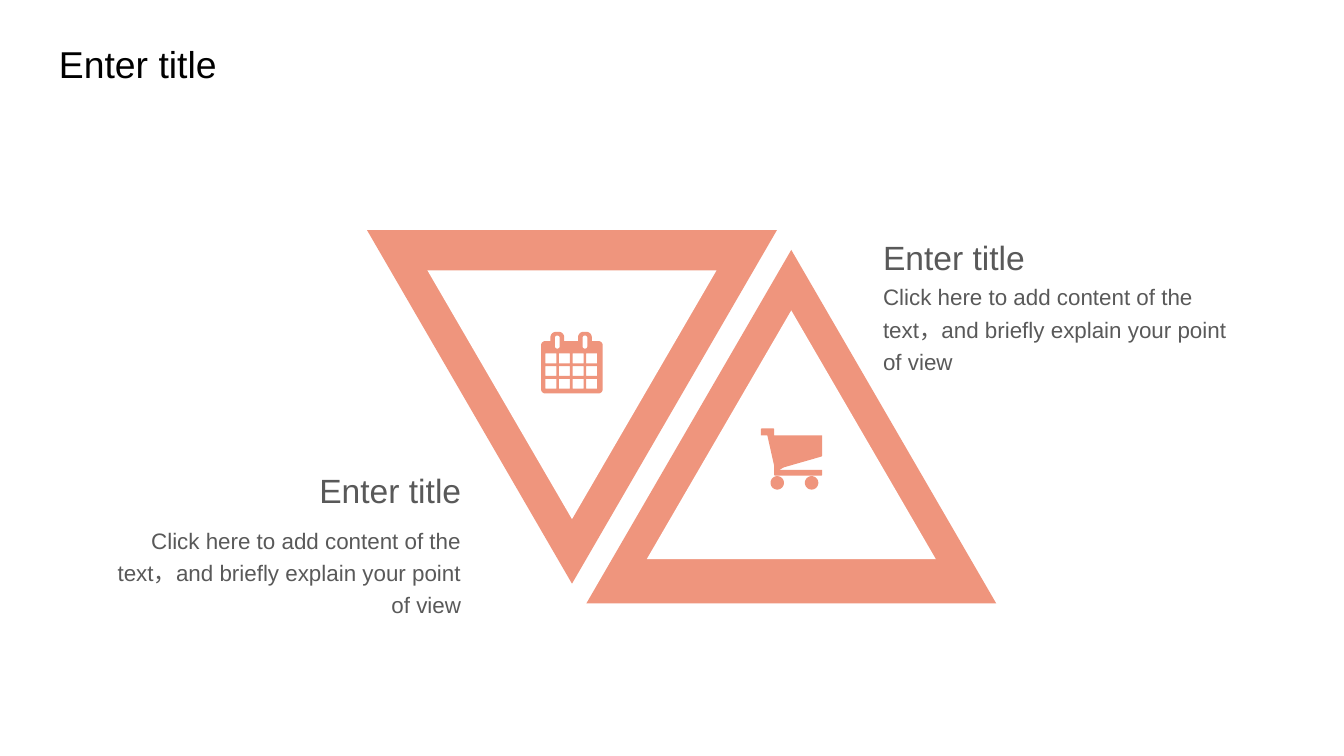
from dataclasses import dataclass
from math import cos, pi, sin, hypot

from pptx import Presentation
from pptx.dml.color import RGBColor
from pptx.enum.shapes import MSO_SHAPE
from pptx.enum.text import MSO_ANCHOR, PP_ALIGN
from pptx.shapes.autoshape import Shape
from pptx.slide import Slide
from pptx.util import Pt

Point = tuple[float, float]
Corner = tuple[float, float, float]


@dataclass(frozen=True)
class Theme:
    font: str = "Arial"
    coral: str = "EF957D"
    white: str = "FFFFFF"
    black: str = "000000"
    grey: str = "595959"
    title: float = 20
    head: float = 18
    body: float = 12


@dataclass(frozen=True)
class Frame:
    left: float
    top: float
    inset: float
    turn: float


@dataclass(frozen=True)
class Label:
    text: str
    box: tuple[float, float, float, float]
    size: float
    color: str
    align: PP_ALIGN = PP_ALIGN.LEFT
    anchor: MSO_ANCHOR = MSO_ANCHOR.TOP
    pads: tuple[float, float, float, float] = (5.76, 5.76, 5.76, 0)
    lines: float = 1.0


THEME = Theme()
HEAD = "Enter title"
BODY = "Click here to add content of the text，and briefly explain your point of view"


def paint(shape: Shape, color: str) -> None:
    shape.shadow.inherit = False
    shape.fill.solid()
    shape.fill.fore_color.rgb = RGBColor.from_string(color)
    shape.line.fill.background()


def draw_frame(slide: Slide, frame: Frame) -> None:
    parts = ((0, 0, 219.6, 189.4, THEME.coral),
             (32.4, frame.inset, 154.8, 133.2, THEME.white))
    for dx, dy, width, height, color in parts:
        shape = slide.shapes.add_shape(
            MSO_SHAPE.ISOSCELES_TRIANGLE, Pt(frame.left + dx),
            Pt(frame.top + dy), Pt(width), Pt(height))
        shape.rotation = frame.turn
        paint(shape, color)


def toward(start: Point, end: Point, length: float) -> Point:
    ratio = length / hypot(end[0] - start[0], end[1] - start[1])
    return (start[0] + (end[0] - start[0]) * ratio,
            start[1] + (end[1] - start[1]) * ratio)


def smooth(ring: list[Corner], steps: int = 8) -> list[Point]:
    points = []
    for i, (x, y, radius) in enumerate(ring):
        if not radius:
            points.append((x, y))
            continue
        ax, ay = toward((x, y), ring[i - 1][:2], radius)
        bx, by = toward((x, y), ring[(i + 1) % len(ring)][:2], radius)
        for step in range(steps + 1):
            angle = pi / 2 * step / steps
            c, s = 1 - sin(angle), 1 - cos(angle)
            points.append((x + (ax - x) * c + (bx - x) * s,
                           y + (ay - y) * c + (by - y) * s))
    return points


def block(x: float, y: float, width: float, height: float,
          radius: float = 0) -> list[Corner]:
    return [(x, y, radius), (x + width, y, radius),
            (x + width, y + height, radius), (x, y + height, radius)]


def draw_icon(slide: Slide, left: float, top: float,
              rings: list[list[Corner]]) -> None:
    paths = [[(Pt(left + x), Pt(top + y)) for x, y in smooth(ring)]
             for ring in rings]
    pen = slide.shapes.build_freeform(*paths[0][0])
    for i, path in enumerate(paths):
        if i:
            pen.move_to(*path[0])
        pen.add_line_segments(path[1:], close=True)
    paint(pen.convert_to_shape(), THEME.coral)


def diary() -> list[list[Corner]]:
    tabs = (5, 19.8)
    edge = [(0, 5, 2.2)]
    for x in tabs:
        edge += [(x, 5, 0), (x, 0, 3), (x + 7.4, 0, 3), (x + 7.4, 5, 0)]
    edge += [(33, 5, 2.2), (33, 33, 2.2), (0, 33, 2.2)]
    slots = [block(x + 2.4, 2, 2.6, 7, 1.2) for x in tabs]
    cells = [block(2.3 + 7.3 * col, 11.6 + 6.8 * row, 5.9, 5.3)
             for row in range(3) for col in range(4)]
    return [edge, *slots, *cells]


def cart() -> list[list[Corner]]:
    frame = [(0, 0, 0.7), (7.2, 0, 0.7), (7.2, 3.8, 0), (32.8, 3.8, 0),
             (32.8, 15, 0.4), (12.3, 20.9, 0), (10, 22.2, 0),
             (32.8, 22.2, 0), (32.8, 25.4, 0.5), (7.2, 25.4, 0.5),
             (7.2, 20.2, 0), (3.5, 3.8, 0), (0, 3.8, 0)]
    wheels = [block(x, 25.6, 7.2, 7.2, 3.6) for x in (5.2, 23.6)]
    return [frame, *wheels]


def write(slide: Slide, label: Label) -> None:
    frame = slide.shapes.add_textbox(*map(Pt, label.box)).text_frame
    frame.word_wrap = True
    frame.vertical_anchor = label.anchor
    (frame.margin_left, frame.margin_top,
     frame.margin_right, frame.margin_bottom) = map(Pt, label.pads)
    frame.text = label.text
    line = frame.paragraphs[0]
    line.alignment = label.align
    line.line_spacing = label.lines
    font = line.runs[0].font
    font.name = THEME.font
    font.size = Pt(label.size)
    font.color.rgb = RGBColor.from_string(label.color)


def write_pair(slide: Slide, head: Point, body: Point, align: PP_ALIGN) -> None:
    write(slide, Label(BODY, (*body, 204.8, 64.1), THEME.body, THEME.grey,
                       align, lines=1.2))
    write(slide, Label(HEAD, (*head, 178.6, 25.2), THEME.head, THEME.grey,
                       align, MSO_ANCHOR.BOTTOM, (5.76, 0, 5.76, 0)))


def main() -> None:
    deck = Presentation()
    deck.slide_width, deck.slide_height = Pt(720), Pt(405)
    slide = deck.slides.add_slide(deck.slide_layouts[6])
    write(slide, Label(HEAD, (24.5, 18.7, 125.3, 31.7), THEME.title,
                       THEME.black, pads=(7.2, 3.6, 7.2, 3.6)))
    draw_frame(slide, Frame(196.6, 123.3, 21.6, 180))
    draw_icon(slide, 289.9, 177.8, diary())
    draw_frame(slide, Frame(314.1, 133.9, 32.4, 0))
    draw_icon(slide, 407.6, 229.5, cart())
    write_pair(slide, (74.2, 248.4), (48, 273.6), PP_ALIGN.RIGHT)
    write_pair(slide, (467.3, 123.1), (467.3, 143.3), PP_ALIGN.LEFT)
    deck.save("out.pptx")


if __name__ == "__main__":
    main()
